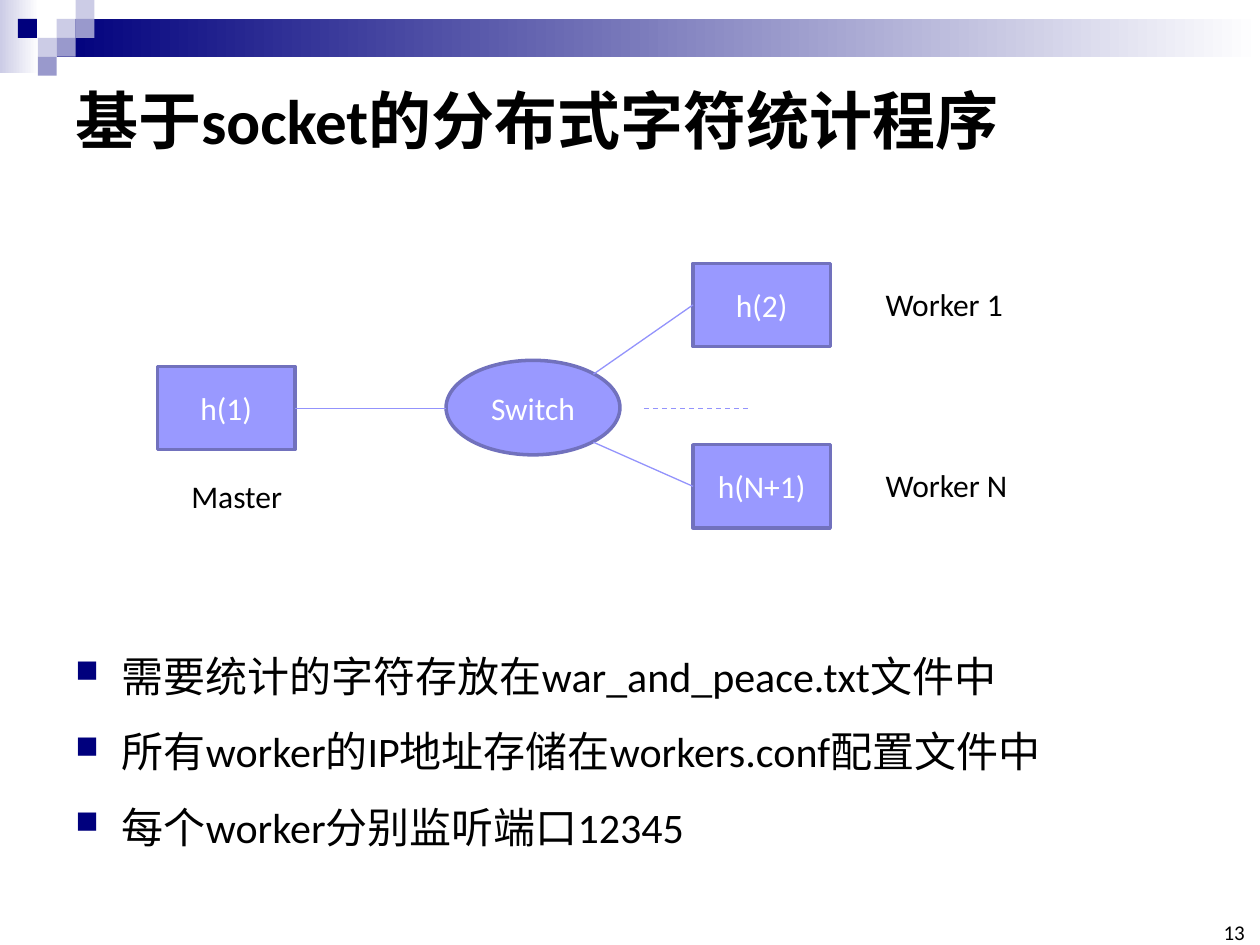
from dataclasses import dataclass

from lxml import etree
from pptx import Presentation
from pptx.dml.color import RGBColor as Rgb
from pptx.enum import dml, shapes, text
from pptx.oxml import ns
from pptx.util import Inches, Pt


@dataclass(frozen=True)
class Theme:
    """Colours, font and type sizes of the slide."""
    font: str = "Calibri"
    navy: str = "00007D"
    pale: str = "CCCCE6"
    mid: str = "9999CC"
    node: str = "9999FF"
    edge: str = "7171BD"
    link: str = "9393FC"
    black: str = "000000"
    white: str = "FFFFFF"
    title: int = 36
    body: int = 24
    label: int = 18
    small: int = 12


T = Theme()
LEFT, MID = text.PP_ALIGN.LEFT, text.PP_ALIGN.CENTER
KIND = shapes.MSO_SHAPE


def rgb(code):
    """Turn a hex code into a colour."""
    return Rgb.from_string(code)


def style(para, words, size, color=T.black, align=LEFT, bold=False):
    """Fill a paragraph and set its font."""
    para.text = words
    para.alignment = align
    font = para.font
    font.name, font.size, font.bold = T.font, Pt(size), bold
    font.color.rgb = rgb(color)


def block(slide, kind, x, y, w, h):
    """Add a preset shape with no line or shadow."""
    shape = slide.shapes.add_shape(kind, *map(Inches, (x, y, w, h)))
    shape.shadow.inherit = False
    shape.line.fill.background()
    return shape


def tile(slide, x, y, w, h, color):
    """Add a plain filled rectangle."""
    fill = block(slide, KIND.RECTANGLE, x, y, w, h).fill
    fill.solid()
    fill.fore_color.rgb = rgb(color)


def fade(slide, x, y, w, h, color):
    """Add a rectangle that fades to white rightwards."""
    fill = block(slide, KIND.RECTANGLE, x, y, w, h).fill
    fill.gradient()
    fill.gradient_angle = 0
    for stop, code in zip(fill.gradient_stops, (color, T.white)):
        stop.color.rgb = rgb(code)


def node(slide, words, x, y, w=1.09, h=0.66, kind=KIND.RECTANGLE):
    """Add a labelled network node."""
    shape = block(slide, kind, x, y, w, h)
    shape.fill.solid()
    shape.fill.fore_color.rgb = rgb(T.node)
    shape.line.color.rgb = rgb(T.edge)
    shape.line.width = Pt(2)
    frame = shape.text_frame
    frame.word_wrap = False
    frame.vertical_anchor = text.MSO_ANCHOR.MIDDLE
    style(frame.paragraphs[0], words, T.label, T.white, MID)
    return shape


def link(slide, start, end, dash=False):
    """Add a thin straight connector."""
    line = slide.shapes.add_connector(
        shapes.MSO_CONNECTOR.STRAIGHT, *map(Inches, start + end))
    line.line.color.rgb = rgb(T.link)
    line.line.width = Pt(0.75)
    if dash:
        line.line.dash_style = dml.MSO_LINE.DASH
    etree.SubElement(line._element.spPr, ns.qn("a:effectLst"))
    return line


def box(slide, x, y, w, h, wrap=True):
    """Add a text box and return its frame."""
    frame = slide.shapes.add_textbox(*map(Inches, (x, y, w, h))).text_frame
    frame.word_wrap = wrap
    return frame


def label(slide, words, x, y, w):
    """Add a caption that grows with its text."""
    frame = box(slide, x, y, w, 0.4, wrap=False)
    frame.auto_size = text.MSO_AUTO_SIZE.SHAPE_TO_FIT_TEXT
    style(frame.paragraphs[0], words, T.label)


def bullet(para):
    """Give a paragraph a square bullet and hanging indent."""
    props = para._p.get_or_add_pPr()
    props.set("marL", str(Inches(0.37)))
    props.set("indent", str(-Inches(0.37)))
    color = etree.SubElement(props, ns.qn("a:buClr"))
    etree.SubElement(color, ns.qn("a:srgbClr"), val=T.navy)
    etree.SubElement(props, ns.qn("a:buSzPct"), val="75000")
    etree.SubElement(props, ns.qn("a:buChar"), char="■")


def points(slide, lines):
    """Add the bulleted list."""
    frame = box(slide, 0.5, 4.91, 9, 2.18)
    for i, words in enumerate(lines):
        para = frame.add_paragraph() if i else frame.paragraphs[0]
        para.line_spacing = 1.5
        bullet(para)
        style(para, words, T.body)


def banner(slide):
    """Draw the fading bar and its mosaic of squares."""
    fade(slide, 0, 0, 0.31, 0.58, T.pale)
    fade(slide, 0.45, 0.15, 9.55, 0.3, T.navy)
    side = 0.15
    for col, row, color in (
            (3, 1, T.pale), (4, 0, T.pale), (4, 1, T.mid), (2, 2, T.pale),
            (0.95, 1, T.navy), (3, 2, T.mid), (2, 3, T.mid)):
        tile(slide, col * side, row * side, side, side, color)


def network(slide):
    """Draw the master, the switch and the workers."""
    node(slide, "Switch", 3.54, 2.86, 1.38, 0.75, KIND.OVAL)
    host = node(slide, "h(1)", 1.25, 2.91)
    link(slide, (2.34, 3.24), (3.54, 3.24)).begin_connect(host, 3)
    label(slide, "Master", 1.42, 3.74, 0.93)
    for words, name, top, port, width in (
            ("h(2)", "Worker 1", 2.09, 2.97, 1.14),
            ("h(N+1)", "Worker N", 3.53, 3.51, 1.18)):
        host = node(slide, words, 5.5, top)
        link(slide, (4.71, port), (5.5, top + 0.33)).end_connect(host, 1)
        label(slide, name, 6.93, top + 0.12, width)
    link(slide, (5.11, 3.24), (5.94, 3.24), dash=True)


def main():
    """Build the slide and save it."""
    deck = Presentation()
    deck.slide_width, deck.slide_height = Inches(10), Inches(7.5)
    slide = deck.slides.add_slide(deck.slide_layouts[6])
    banner(slide)
    head = box(slide, 0.5, 0.5, 9, 0.89)
    head.vertical_anchor = text.MSO_ANCHOR.MIDDLE
    style(head.paragraphs[0], "基于socket的分布式字符统计程序", T.title, bold=True)
    page = box(slide, 9.65, 7.33, 0.23, 0.17)
    page.vertical_anchor = text.MSO_ANCHOR.BOTTOM
    page.margin_left = page.margin_right = 0
    page.margin_top = page.margin_bottom = 0
    style(page.paragraphs[0], "13", T.small, align=text.PP_ALIGN.RIGHT)
    points(slide, ("需要统计的字符存放在war_and_peace.txt文件中",
                   "所有worker的IP地址存储在workers.conf配置文件中",
                   "每个worker分别监听端口12345"))
    network(slide)
    deck.save("out.pptx")


if __name__ == "__main__":
    main()
